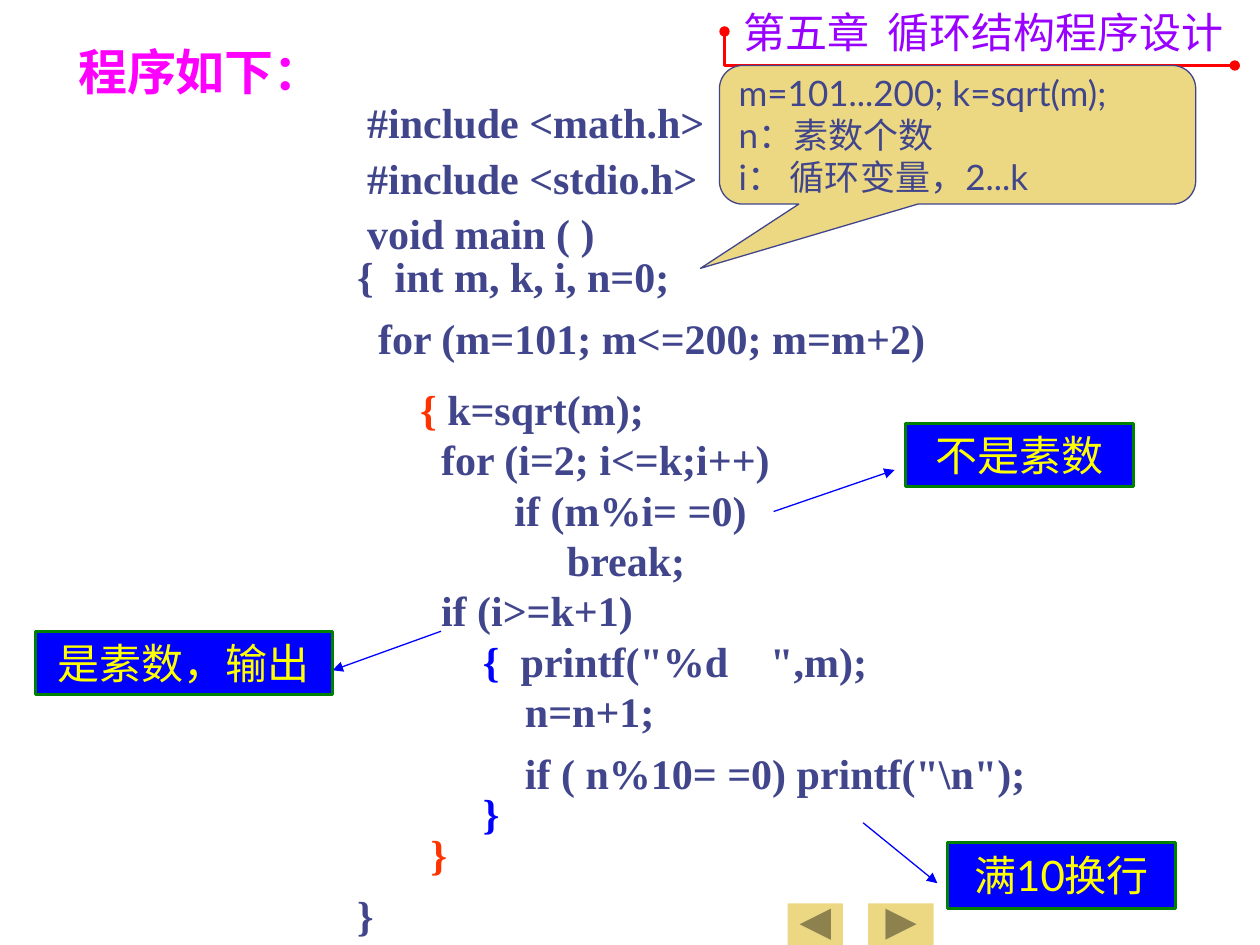
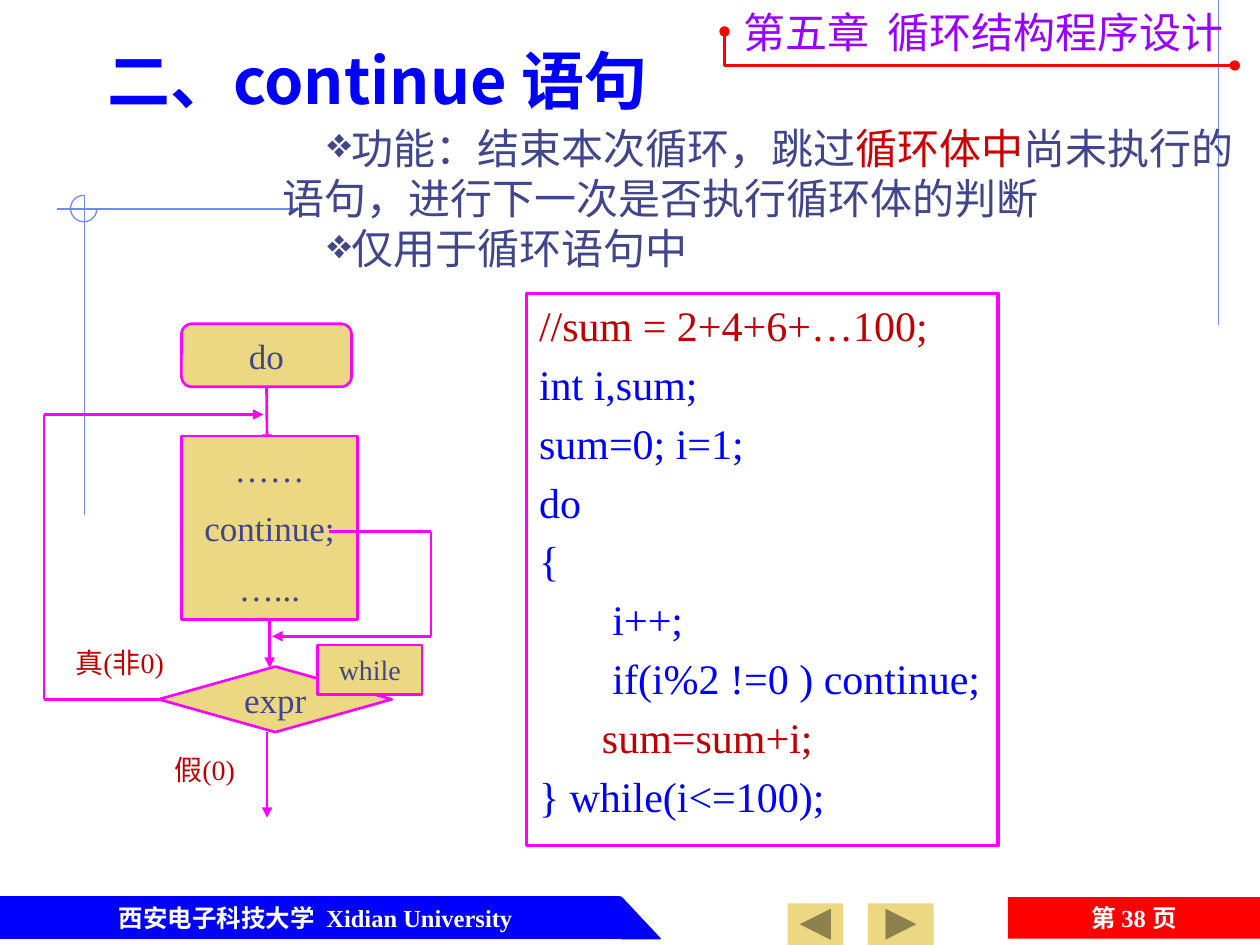
from itertools import pairwise

from lxml.etree import SubElement
from pptx import Presentation
from pptx.dml.color import RGBColor
from pptx.enum.shapes import MSO_CONNECTOR, MSO_SHAPE
from pptx.enum.text import MSO_ANCHOR, MSO_AUTO_SIZE, PP_ALIGN
from pptx.oxml.ns import qn
from pptx.util import Inches, Pt

SERIF, SANS, LATO = "Times New Roman", "Noto Sans CJK SC", "Lato"
INK, SAND, BLUE, PINK = "40458C", "ECD882", "0000FF", "FF00FF"
RED, BRICK, WHITE, PALE = "FF0000", "C00000", "FFFFFF", "6F89F7"
ORANGE, GREEN, YELLOW = "FF3300", "008000", "FFFF00"

BODY = dict(size=24, name=SERIF, bold=False, color=INK)
CODE = BODY | dict(bold=True)
FLOW = BODY | dict(size=20)
NOTE = BODY | dict(name=LATO, color=YELLOW)
FOOT = dict(size=14, name=SERIF, bold=True, color=WHITE)
CENTER = dict(alignment=PP_ALIGN.CENTER)
LEFT = dict(alignment=PP_ALIGN.LEFT)
TOP = dict(vertical_anchor=MSO_ANCHOR.TOP)
MIDDLE = dict(vertical_anchor=MSO_ANCHOR.MIDDLE)


def rgb(code):
    return RGBColor.from_string(code)


def apply(target, values):
    for name, value in values.items():
        setattr(target, name, value)


def style(run, look):
    values = dict(look)
    run.font.color.rgb = rgb(values.pop("color"))
    values["size"] = Pt(values["size"])
    apply(run.font, values)
    SubElement(run.font._element, qn("a:ea"), typeface=SANS)


def write(shape, lines, look, para=LEFT, frame=TOP, gap=0):
    """Fill a shape; a line is a string or a list of (text, changes to look)."""
    box = shape.text_frame
    apply(box, dict(word_wrap=True, auto_size=MSO_AUTO_SIZE.NONE) | frame)
    for i, line in enumerate(lines):
        item = box.add_paragraph() if i else box.paragraphs[0]
        apply(item, para)
        item.space_before = Pt(gap if i else 0)
        pieces = [(line, {})] if isinstance(line, str) else line
        for text, change in pieces:
            run = item.add_run()
            run.text = text
            style(run, look | change)
    return box.paragraphs


def place(area):
    return [Inches(n) for n in area]


def label(slide, area, lines, look, **rest):
    return write(slide.shapes.add_textbox(*place(area)), lines, look, **rest)


def block(slide, kind, area, fill=None, line=None, width=1.5):
    shape = slide.shapes.add_shape(kind, *place(area))
    shape.shadow.inherit = False
    if fill:
        shape.fill.solid()
        shape.fill.fore_color.rgb = rgb(fill)
    else:
        shape.fill.background()
    if line:
        shape.line.color.rgb = rgb(line)
        shape.line.width = Pt(width)
    else:
        shape.line.fill.background()
    return shape


def route(slide, points, color, width, arrow=False, start=None):
    """Draw joined straight lines; start is a (shape, side) to begin from."""
    for i, (a, b) in enumerate(pairwise(points)):
        wire = slide.shapes.add_connector(MSO_CONNECTOR.STRAIGHT, *place(a + b))
        if start and i == 0:
            wire.begin_connect(*start)
        wire.line.color.rgb = rgb(color)
        wire.line.width = Pt(width)
        if arrow and i == len(points) - 2:
            SubElement(wire.line._get_or_add_ln(), qn("a:tailEnd"), type="triangle")
        SubElement(wire._element.spPr, qn("a:effectLst"))


def title(slide, area, text, look):
    shape = slide.shapes.title
    names = ("left", "top", "width", "height")
    apply(shape, dict(zip(names, place(area))))
    write(shape, [text], look)


def header(slide):
    label(slide, (5.8, 0, 4.2, 0.5), ["第五章  循环结构程序设计"],
          BODY | dict(name=SANS, color="9900FF"))
    pen = slide.shapes.build_freeform(Inches(5.75), Inches(0.25))
    pen.add_line_segments([place((5.75, 0.52)), place((9.8, 0.52))], close=False)
    rule = pen.convert_to_shape()
    rule.shadow.inherit = False
    rule.fill.background()
    rule.line.color.rgb = rgb(RED)
    rule.line.width = Pt(1.5)
    for end in ("a:headEnd", "a:tailEnd"):
        SubElement(rule.line._get_or_add_ln(), qn(end), type="oval")


def buttons(slide):
    for left, width, turn in ((6.89, 0.52, 0), (6.25, 0.44, 180)):
        key = block(slide, MSO_SHAPE.ACTION_BUTTON_FORWARD_OR_NEXT,
                    (left, 7.17, width, 0.33), SAND)
        key.rotation = turn


def frame(slide):
    """Draw the thin guide lines with the three-quarter ring."""
    for ends in (((9.67, 0), (9.67, 2.58)), ((2.4, 1.66), (0.45, 1.66)),
                 ((0.67, 1.55), (0.67, 4.09))):
        route(slide, ends, PALE, 0.75)
    ring = block(slide, MSO_SHAPE.ARC, (0.56, 1.55, 0.21, 0.21), None, PALE, 0.75)
    ring.adjustments[0] = 0
    ring.adjustments[1] = 162


def footer(slide, page):
    top, high = 7.12, 0.33
    block(slide, MSO_SHAPE.RECTANGLE, (0, top, 4.92, high), BLUE, BLUE, 0.75)
    block(slide, MSO_SHAPE.RIGHT_TRIANGLE, (4.93, top, 0.31, high), BLUE, BLUE, 0.75)
    label(slide, (0.29, top, 4.43, high), ["西安电子科技大学  Xidian University"],
          FOOT, para=CENTER)
    tab = block(slide, MSO_SHAPE.RECTANGLE, (8, top, 2, high), RED)
    sans = dict(name=SANS)
    write(tab, [[("第 ", sans), (f"{page} ", {}), ("页", sans)]], FOOT, CENTER)


def bullet(item):
    props = item._p.get_or_add_pPr()
    props.set("marL", str(Inches(1)))
    props.set("indent", str(Inches(0.36)))
    SubElement(props, qn("a:buChar"), char="❖")


def listing(slide):
    heads = ["#include <math.h>", "#include <stdio.h>", "void main ( )"]
    for item in label(slide, (2.4, 0.68, 4.79, 1.44),
                      [" " * 5 + head for head in heads], CODE):
        item.line_spacing = 1.1

    outer, inner = dict(color=ORANGE), dict(color=BLUE)
    rows = [
        (0.8, 0, "     {  int m, k, i, n=0;"),
        (0.8, 12, "       for (m=101; m<=200; m=m+2)"),
        (1, 12, [("           { ", outer), ("k=sqrt(m);", {})]),
        (1, 0, "             for (i=2; i<=k;i++)"),
        (1, 0, "                    if (m%i= =0)"),
        (1, 0, "                         break;"),
        (1, 0, "             if (i>=k+1)"),
        (1, 0, [("                 {  ", inner), ("printf(\"%d    \",m);", {})]),
        (1, 0, "                     n=n+1;"),
        (0.8, 12, "                     if ( n%10= =0) printf(\"\\n\");"),
        (0.8, 0, [("                 }", inner)]),
        (0.8, 0, [("            }", outer)]),
        (0.8, 12, "     }"),
    ]
    items = label(slide, (2.32, 2.02, 7.64, 5.68), [row[2] for row in rows], CODE)
    for item, (pitch, before, _) in zip(items, rows):
        apply(item, dict(line_spacing=pitch, space_before=Pt(before)))


def primes(slide):
    title(slide, (0.52, 0.28, 2.27, 0.57), "程序如下：",
          CODE | dict(size=28, color=PINK))
    buttons(slide)
    listing(slide)
    header(slide)
    notes = [
        ("满10换行", (7.52, 6.69, 1.81, 0.52), ((6.85, 6.53), (7.44, 7.01))),
        ("不是素数", (7.19, 3.36, 1.81, 0.5), ((6.14, 4.06), (7.1, 3.73))),
        ("是素数，输出", (0.28, 5.01, 2.36, 0.5), ((3.5, 5.01), (2.64, 5.32))),
    ]
    for text, area, ends in notes:
        route(slide, ends, BLUE, 0.75, arrow=True)
        box = block(slide, MSO_SHAPE.RECTANGLE, area, BLUE, GREEN, 1.75)
        write(box, [text], NOTE, CENTER)
    hint = block(slide, MSO_SHAPE.ROUNDED_RECTANGULAR_CALLOUT,
                 (5.71, 0.52, 3.78, 1.1), SAND, INK, 0.75)
    for i, value in enumerate((-0.54, 0.964, 0.167)):
        hint.adjustments[i] = value
    write(hint, ["m=101...200; k=sqrt(m);", "n：素数个数", "i： 循环变量，2...k"],
          FLOW | dict(name=LATO), frame=MIDDLE)


def chart(slide):
    """Draw the flow of the do-while loop."""
    def node(kind, area, lines, look=FLOW):
        shape = block(slide, kind, area, SAND, PINK)
        write(shape, lines, look, CENTER, MIDDLE, gap=10)
        return shape

    def flow(*points, arrow=True, start=None):
        route(slide, points, PINK, 1.5, arrow, start)

    begin = node(MSO_SHAPE.FLOWCHART_ALTERNATE_PROCESS, (1.44, 2.57, 1.35, 0.5), ["do"])
    flow((2.12, 3.07), (2.12, 3.53), start=(begin, 2))
    body = node(MSO_SHAPE.RECTANGLE, (1.44, 3.46, 1.4, 1.46),
                ["……", "continue;", "…..."])
    flow((2.14, 4.92), (2.14, 5.3), start=(body, 2))
    test = node(MSO_SHAPE.FLOWCHART_DECISION, (1.26, 5.29, 1.85, 0.52), ["expr"])
    flow((2.12, 5.81), (2.12, 6.49))
    flow((1.26, 5.55), (0.35, 5.55), (0.35, 3.29), (2.09, 3.29), start=(test, 1))
    node(MSO_SHAPE.RECTANGLE, (2.52, 5.12, 0.83, 0.39), ["while"], FLOW | dict(size=16))
    flow((2.61, 4.22), (3.42, 4.22), (3.42, 5.05), (2.16, 5.05))
    for text, area in (("真(非0)", (0.43, 5.07, 1.04, 0.37)),
                       ("假(0)", (1.22, 5.92, 0.81, 0.37))):
        label(slide, area, [text], BODY | dict(size=16, color=BRICK),
              para=CENTER, frame=MIDDLE)


def skip(slide):
    frame(slide)
    footer(slide, 38)
    buttons(slide)
    title(slide, (0.75, 0.28, 5.42, 0.7), "二、continue 语句",
          dict(size=36, name=SANS, bold=True, color=BLUE))
    header(slide)
    points = [
        [("功能：结束本次循环，跳过", {}), ("循环体中", dict(color="CC0000")),
         ("尚未执行的语句，进行下一次是否执行循环体的判断", {})],
        "仅用于循环语句中",
    ]
    for item in label(slide, (1.14, 0.92, 8.75, 1.43), points, BODY):
        bullet(item)
    chart(slide)
    warm = dict(color=BRICK)
    lines = [
        [("//sum = 2+4+6+…100;", warm)],
        "int i,sum;",
        "sum=0; i=1;",
        "do",
        "{",
        "       i++;",
        "       if(i%2 !=0 ) continue;",
        [("      sum=sum+i;", warm)],
        "} while(i<=100);",
    ]
    box = block(slide, MSO_SHAPE.RECTANGLE, (4.18, 2.33, 3.74, 4.38), WHITE, PINK, 2)
    write(box, lines, BODY | dict(color=BLUE), gap=4.8)


def main():
    deck = Presentation()
    apply(deck, dict(slide_width=Inches(10), slide_height=Inches(7.5)))
    for build in (primes, skip):
        build(deck.slides.add_slide(deck.slide_layouts[5]))
    deck.save("out.pptx")


if __name__ == "__main__":
    main()
